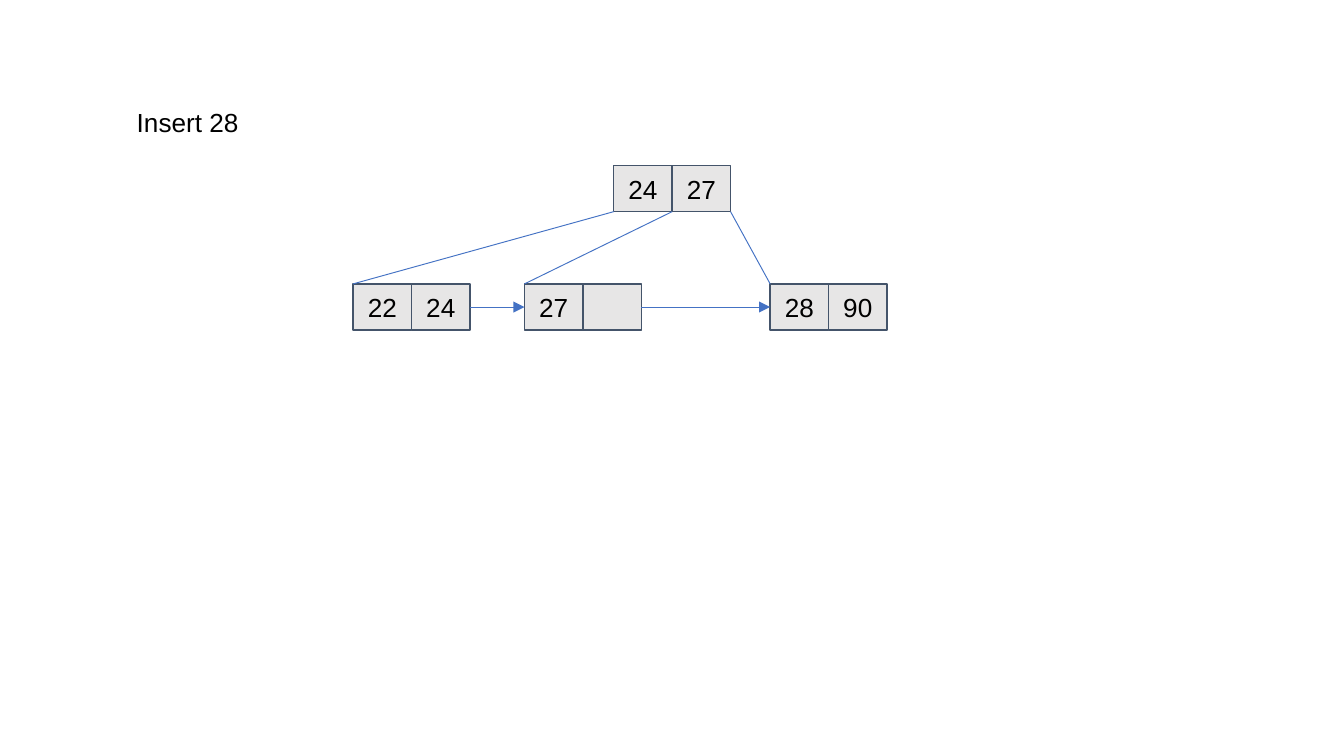
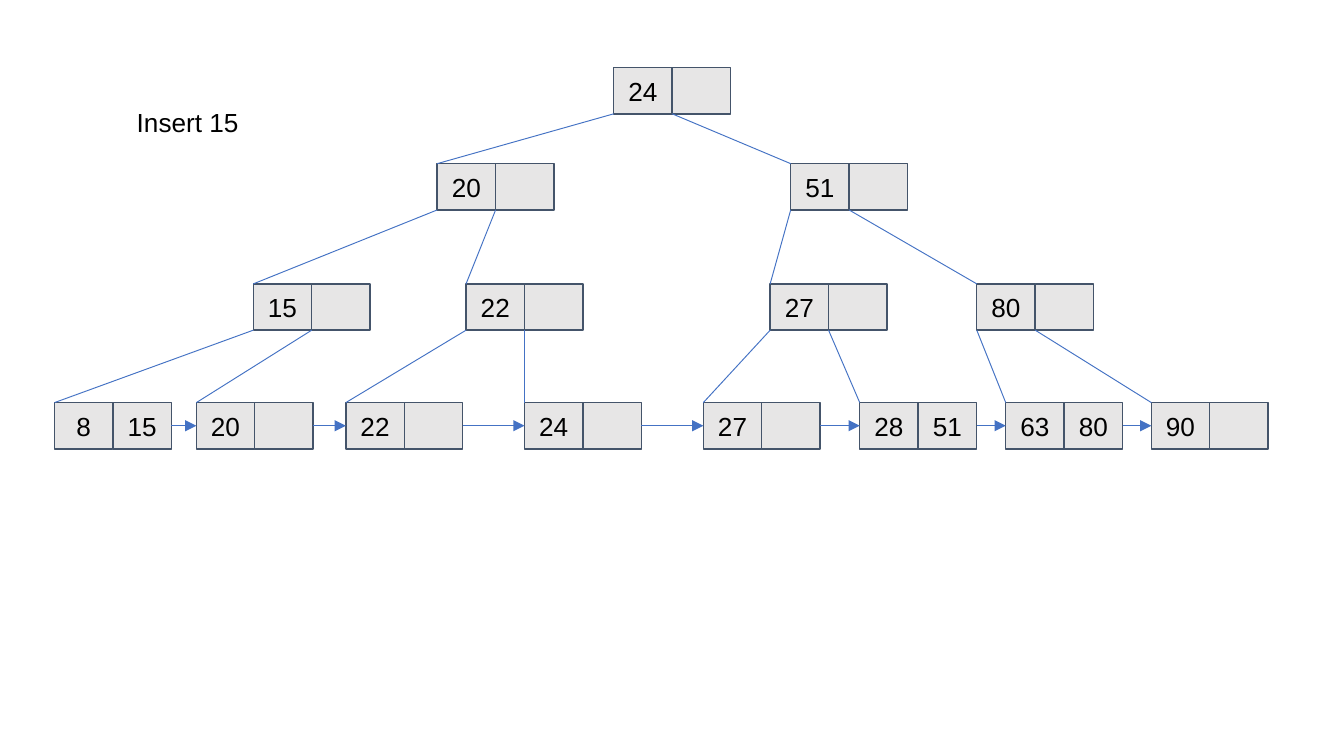
from dataclasses import dataclass

from lxml import etree
from pptx import Presentation
from pptx.dml.color import RGBColor
from pptx.enum.shapes import MSO_CONNECTOR, MSO_SHAPE
from pptx.enum.text import MSO_ANCHOR, MSO_AUTO_SIZE, PP_ALIGN
from pptx.oxml.ns import qn
from pptx.util import Pt

RECTANGLE = MSO_SHAPE.RECTANGLE
STRAIGHT = MSO_CONNECTOR.STRAIGHT
CENTER = PP_ALIGN.CENTER
MIDDLE = MSO_ANCHOR.MIDDLE
GROW = MSO_AUTO_SIZE.SHAPE_TO_FIT_TEXT
LEFT_SITE, RIGHT_SITE = 1, 3
BLANK_LAYOUT = 6

CELL_WIDTH = 31.3
CELL_HEIGHT = 24.8
CELL_INSET = 7.2


@dataclass(frozen=True)
class Theme:
    font: str = "Arial"
    text_size: float = 14
    text: RGBColor = RGBColor(0x00, 0x00, 0x00)
    cell_fill: RGBColor = RGBColor(0xE7, 0xE6, 0xE6)
    cell_border: RGBColor = RGBColor(0x44, 0x54, 0x6A)
    border_width: float = 0.75
    link: RGBColor = RGBColor(0x44, 0x72, 0xC4)
    link_width: float = 0.5


THEME = Theme()


@dataclass(frozen=True)
class Node:
    left: float
    keys: tuple
    children: tuple = ()


def style_text(paragraph):
    paragraph.font.name = THEME.font
    paragraph.font.size = Pt(THEME.text_size)
    paragraph.font.color.rgb = THEME.text


def add_caption(slide, caption):
    frame = slide.shapes.add_textbox(Pt(66.2), Pt(53.3), Pt(69), Pt(24.5)).text_frame
    frame.word_wrap = False
    frame.auto_size = GROW
    frame.text = caption
    style_text(frame.paragraphs[0])


def add_cell(slide, left, top, key):
    cell = slide.shapes.add_shape(
        RECTANGLE, Pt(left), Pt(top), Pt(CELL_WIDTH), Pt(CELL_HEIGHT)
    )
    cell.shadow.inherit = False
    cell.fill.solid()
    cell.fill.fore_color.rgb = THEME.cell_fill
    cell.line.color.rgb = THEME.cell_border
    cell.line.width = Pt(THEME.border_width)
    if key is not None:
        frame = cell.text_frame
        frame.margin_left = frame.margin_right = Pt(CELL_INSET)
        frame.margin_top = frame.margin_bottom = Pt(CELL_INSET)
        frame.vertical_anchor = MIDDLE
        frame.text = str(key)
        frame.paragraphs[0].alignment = CENTER
        style_text(frame.paragraphs[0])
    return cell


def add_link(slide, start=(0, 0), end=(0, 0)):
    link = slide.shapes.add_connector(STRAIGHT, *map(Pt, start + end))
    link.line.color.rgb = THEME.link
    link.line.width = Pt(THEME.link_width)
    etree.SubElement(link._element.spPr, qn("a:effectLst"))
    return link


def add_leaf_arrow(slide, source_cell, target_cell):
    arrow = add_link(slide)
    arrow.begin_connect(source_cell, RIGHT_SITE)
    arrow.end_connect(target_cell, LEFT_SITE)
    outline = arrow._element.spPr.find(qn("a:ln"))
    etree.SubElement(outline, qn("a:tailEnd"), type="triangle")


def add_subtree(slide, node, level_tops):
    top = level_tops[0]
    cells = [
        add_cell(slide, node.left + slot * CELL_WIDTH, top, key)
        for slot, key in enumerate(node.keys)
    ]
    if not node.children:
        return [cells]
    leaves = []
    for slot, child in enumerate(node.children):
        leaves += add_subtree(slide, child, level_tops[1:])
        add_link(
            slide,
            (node.left + slot * CELL_WIDTH, top + CELL_HEIGHT),
            (child.left, level_tops[1]),
        )
    return leaves


def add_tree_slide(deck, caption, root, level_tops):
    slide = deck.slides.add_slide(deck.slide_layouts[BLANK_LAYOUT])
    add_caption(slide, caption)
    leaves = add_subtree(slide, root, level_tops)
    for leaf, next_leaf in zip(leaves, leaves[1:]):
        add_leaf_arrow(slide, leaf[-1], next_leaf[0])


def main():
    deck = Presentation()
    deck.slide_width, deck.slide_height = Pt(720), Pt(405)

    after_28 = Node(328.8, (24, 27), (
        Node(189.2, (22, 24)),
        Node(281, (27, None)),
        Node(412.6, (28, 90)),
    ))
    add_tree_slide(deck, "Insert 28", after_28, (88.6, 152.1))

    after_15 = Node(328.8, (24, None), (
        Node(234.2, (20, None), (
            Node(135.7, (15, None), (
                Node(29.2, (8, 15)),
                Node(105.2, (20, None)),
            )),
            Node(249.7, (22, None), (
                Node(185.3, (22, None)),
                Node(281, (24, None)),
            )),
        )),
        Node(423.6, (51, None), (
            Node(412.6, (27, None), (
                Node(376.8, (27, None)),
                Node(460.6, (28, 51)),
            )),
            Node(523.3, (80, None), (
                Node(538.8, (63, 80)),
                Node(616.8, (90, None)),
            )),
        )),
    ))
    add_tree_slide(deck, "Insert 15", after_15, (36.2, 87.7, 152.1, 215.7))

    deck.save("out.pptx")


if __name__ == "__main__":
    main()
